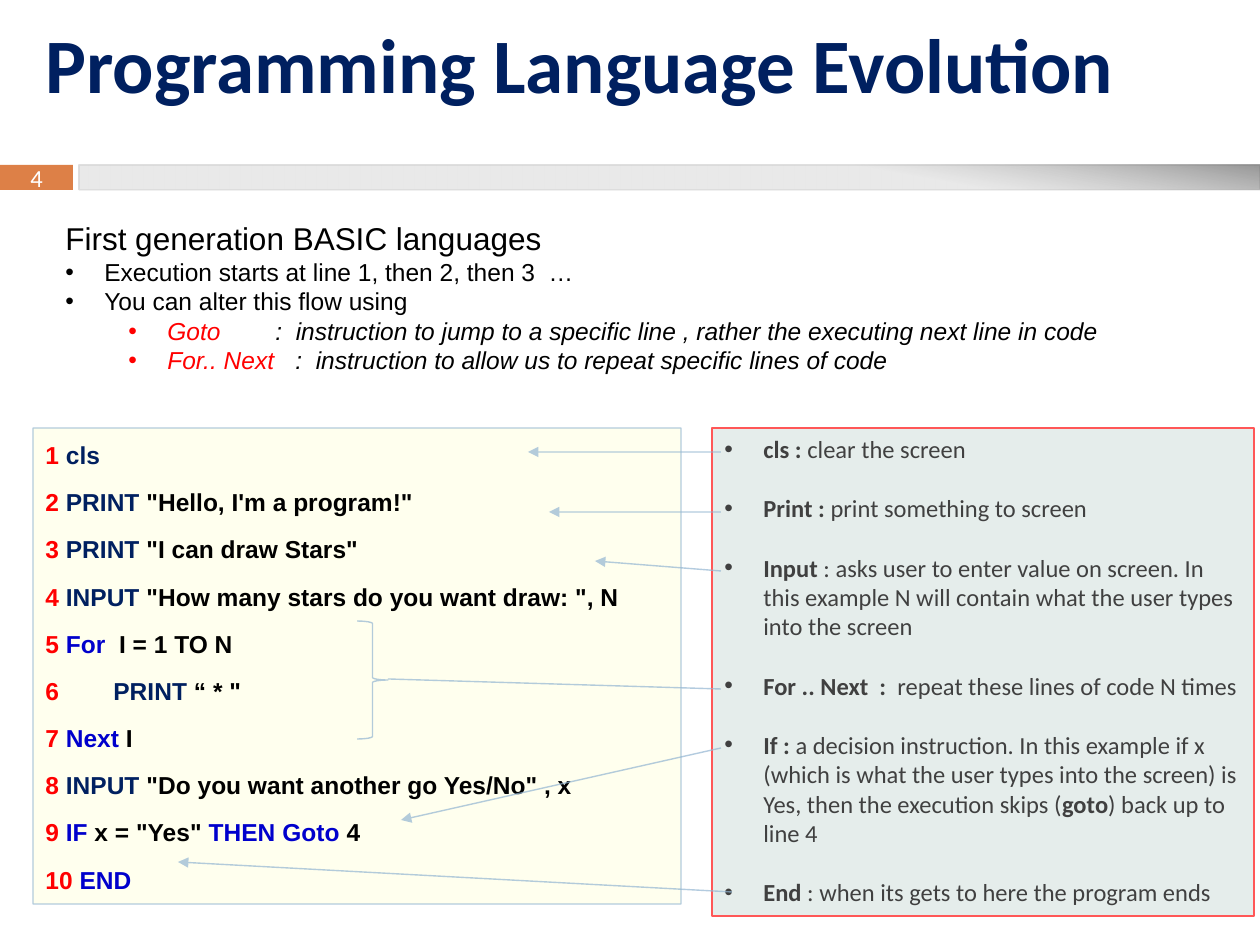
"""Build the slide on the evolution of programming languages."""
import pptx
import pptx.util
import pptx.dml.color
import pptx.enum.shapes
import pptx.enum.text
import pptx.oxml
import pptx.oxml.ns
from lxml import etree

RGB = pptx.dml.color.RGBColor
SHAPE = pptx.enum.shapes.MSO_SHAPE
ANCHOR = pptx.enum.text.MSO_ANCHOR
ALIGN = pptx.enum.text.PP_ALIGN
Pt = pptx.util.Pt
qn = pptx.oxml.ns.qn
SCALE = 914400 / 126

WHITE, BLACK = RGB(255, 255, 255), RGB(0, 0, 0)
NAVY, BLUE, RED = RGB(0x00, 0x20, 0x60), RGB(0, 0, 0xCC), RGB(255, 0, 0)
ORANGE, SKY = RGB(0xDD, 0x80, 0x47), RGB(0x94, 0xB6, 0xD2)
CREAM, MINT = RGB(0xFF, 0xFF, 0xE7), RGB(0xE5, 0xED, 0xEB)
CORAL, GRAY = RGB(0xFF, 0x57, 0x57), RGB(0x40, 0x40, 0x40)

TITLE = "Programming Language Evolution"
NUMBER = "4"
CODE = [
    [("cls", NAVY)],
    [("PRINT ", NAVY), ("\"Hello, I'm a program!\"", BLACK)],
    [("PRINT ", NAVY), ('"I can draw Stars"', BLACK)],
    [("INPUT ", NAVY), ('"How many stars do you want draw: ", N', BLACK)],
    [("For  ", BLUE), ("I = 1 TO N", BLACK)],
    [("\tPRINT ", NAVY), ("“ * \"", BLACK)],
    [("Next", BLUE), (" I", BLACK)],
    [("INPUT ", NAVY), ('"Do you want another go Yes/No" , x', BLACK)],
    [("IF", BLUE), (' x = "Yes" ', BLACK), ("THEN Goto ", BLUE), ("4", BLACK)],
    [("END", BLUE)],
]
HEADING = "First generation BASIC languages"
FLOW = ["Execution starts at line 1, then 2, then 3 \u00a0…",
        "You can alter this flow using "]
JUMPS = [
    ("Goto", "\t:  instruction to jump to a specific line , rather the executing next line in code", 210),
    ("For.. Next", "\t:  instruction to allow us to repeat specific lines of code", 230),
]
NOTES = [
    ["cls : ", "clear the screen"],
    ["Print : ", "print something to screen"],
    ["Input", " : asks user to enter value on screen. In this example N will contain "
     "what the user types into the screen"],
    ["For .. Next  :  ", "repeat these lines of code N times"],
    ["If : ", "a decision instruction. In this example if x (which is what the user types "
     "into the screen) is Yes, then the execution skips (", "goto", ") back up to line 4"],
    ["End", " : when its gets to here the program ends"],
]
LINKS = [
    ((721, 452), (528, 452), True),
    ((721, 512), (549, 512), True),
    ((721, 571), (595, 561), True),
    ((388, 679), (721, 689), False),
    ((721, 748), (401, 820), True),
    ((732, 892), (178, 862), True),
]
BAR_STOPS = [(69, "BFBFBF", 34), (100, "808080", 83), (100, "808080", 76)]


def px(n):
    return round(n * SCALE)


def fade(fill, percent):
    color = fill._xPr.find(".//" + qn("a:srgbClr"))
    etree.SubElement(color, qn("a:alpha"), val=str(percent * 1000))


def stroke(line, color, width, alpha=100):
    line.color.rgb = color
    line.width = Pt(width)
    if alpha < 100:
        fade(line.fill, alpha)


def add_box(box, kind=SHAPE.RECTANGLE, fill=None):
    sp = s.shapes.add_shape(kind, *map(px, box))
    sp.shadow.inherit = False
    sp.line.fill.background()
    if fill is None:
        sp.fill.background()
    else:
        sp.fill.solid()
        sp.fill.fore_color.rgb = fill
    return sp


def add_text(sp, paragraphs, anchor=ANCHOR.TOP):
    tf = sp.text_frame
    tf.word_wrap = True
    tf.vertical_anchor = anchor
    for i, (runs, layout) in enumerate(paragraphs):
        p = tf.paragraphs[0] if i == 0 else tf.add_paragraph()
        form = {"alignment": ALIGN.LEFT, **layout}
        bullet, tab = form.pop("bullet", None), form.pop("tab", None)
        for key, value in form.items():
            setattr(p, key, value)
        pPr = p._p.get_or_add_pPr()
        if bullet:
            pPr.set("marL", str(px(bullet)))
            pPr.set("indent", str(px(-39)))
            etree.SubElement(pPr, qn("a:buFont"), typeface="Arial")
            etree.SubElement(pPr, qn("a:buChar"), char="•")
        if tab:
            stops = etree.SubElement(pPr, qn("a:tabLst"))
            etree.SubElement(stops, qn("a:tab"), pos=str(px(tab)), algn="l")
        for text, size, font, color, style in runs:
            r = p.add_run()
            r.text = text
            r.font.color.rgb = color
            for key, value in {"size": Pt(size), "name": font, **style}.items():
                setattr(r.font, key, value)


def add_link(start, end, arrow):
    link = s.shapes.add_connector(pptx.enum.shapes.MSO_CONNECTOR.STRAIGHT,
                                  *map(px, start + end))
    stroke(link.line, SKY, 0.79, 69)
    if arrow:
        etree.SubElement(link.line._get_or_add_ln(), qn("a:tailEnd"), type="triangle")
    etree.SubElement(link._element.spPr, qn("a:effectLst"))


prs = pptx.Presentation()
prs.slide_width, prs.slide_height = px(1260), px(945)
s = prs.slides.add_slide(prs.slide_layouts[6])

add_text(add_box((0, 165, 73, 25), fill=ORANGE),
         [([(NUMBER, 14, "Calibri", WHITE, {})], {"alignment": ALIGN.CENTER})], ANCHOR.MIDDLE)

bar = add_box((79, 165, 1181, 25))
bar.fill.gradient()
grad = bar._element.spPr.find(qn("a:gradFill"))
for child in list(grad):
    grad.remove(child)
stops = etree.SubElement(grad, qn("a:gsLst"))
for pos, color, alpha in BAR_STOPS:
    stop = etree.SubElement(stops, qn("a:gs"), pos=str(pos * 1000))
    clr = etree.SubElement(stop, qn("a:srgbClr"), val=color)
    etree.SubElement(clr, qn("a:alpha"), val=str(alpha * 1000))
etree.SubElement(grad, qn("a:lin"), ang=str(280 * 60000), scaled="0")
stroke(bar.line, BLACK, 1, 6)

title = s.shapes.add_textbox(*map(px, (33, 6, 1124, 113)))
add_text(title, [([(TITLE, 44, "Calibri", NAVY, {"bold": True})], {})], ANCHOR.MIDDLE)

code = add_box((33, 428, 648, 476), fill=CREAM)
fade(code.fill, 70)
stroke(code.line, SKY, 0.75, 71)
spacing = {"line_spacing": 1.2, "space_before": Pt(3.4), "space_after": Pt(3.4), "tab": 68}
add_text(code, [([(text, 14, "Arial", color, {"bold": True})
                  for text, color in [(f"{n} ", RED)] + parts], spacing)
                for n, parts in enumerate(CODE, 1)])

intro = s.shapes.add_textbox(*map(px, (53, 213, 1104, 170)))
italic = {"italic": True}
add_text(intro, [([(HEADING, 18, "Arial", BLACK, {})], {})]
         + [([(text, 14, "Arial", BLACK, {})], {"bullet": 39}) for text in FLOW]
         + [([(word, 14, "Arial", RED, italic), (text, 14, "Arial", BLACK, italic)],
             {"level": 1, "bullet": 102, "tab": tab}) for word, text, tab in JUMPS])

notes = add_box((712, 428, 542, 488), fill=MINT)
stroke(notes.line, CORAL, 0.75)
add_text(notes, [([(text, 14, "Calibri", GRAY, {"bold": i % 2 == 0})
                   for i, text in enumerate(parts)],
                  {"bullet": 39, "space_after": Pt(17 if parts is not NOTES[-1] else 0)})
                 for parts in NOTES])

brace = add_box((357, 621, 31, 118), SHAPE.RIGHT_BRACE)
stroke(brace.line, SKY, 0.79, 69)
for link in LINKS:
    add_link(*link)

prs.save("out.pptx")
